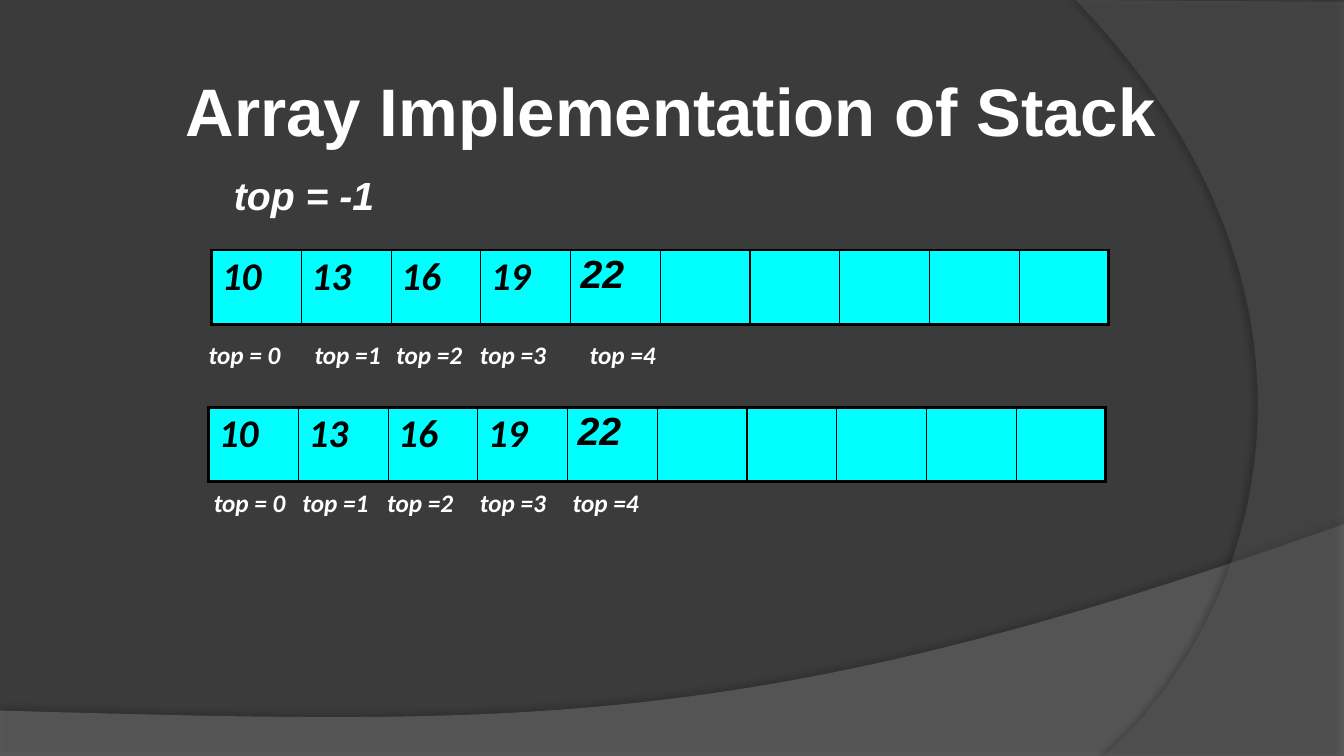
import pptx
import pptx.util
import pptx.dml.color
import pptx.enum.text
import pptx.oxml
import pptx.oxml.ns

COLOURS = {
    "background": "3B3B3B",
    "wave": "7F7F7F",
    "arc": "5E5E5E",
    "cell": "00FFFF",
    "ink": "000000",
    "light": "FFFFFF",
}
THIN, THICK = 1, 2.25


def bezier(start, first, second, end, steps=60):
    for step in range(steps + 1):
        t = step / steps
        weights = ((1 - t) ** 3, 3 * t * (1 - t) ** 2, 3 * t * t * (1 - t), t ** 3)
        yield tuple(
            sum(weight * value for weight, value in zip(weights, axis))
            for axis in zip(start, first, second, end)
        )


def apply(target, **values):
    for attribute, value in values.items():
        setattr(target, attribute, value)


def xml(tag, body, attributes=""):
    namespace = pptx.oxml.ns.nsdecls("a")
    return pptx.oxml.parse_xml(f"<a:{tag} {namespace} {attributes}>{body}</a:{tag}>")


def tint(name, alpha=100):
    return f'<a:srgbClr val="{COLOURS[name]}"><a:alpha val="{alpha * 1000}"/></a:srgbClr>'


class StackSlide:
    def __init__(self):
        self.deck = pptx.Presentation()
        apply(self.deck, slide_width=pptx.util.Inches(13.33), slide_height=pptx.util.Inches(7.5))
        self.slide = self.deck.slides.add_slide(self.deck.slide_layouts[5])
        self.fill(self.slide.background, "background")

    def x(self, share):
        return round(self.deck.slide_width * share / 100)

    def y(self, share):
        return round(self.deck.slide_height * share / 100)

    def box(self, left, top, width, height):
        return self.x(left), self.y(top), self.x(width), self.y(height)

    def colour(self, name):
        return pptx.dml.color.RGBColor.from_string(COLOURS[name])

    def fill(self, target, name):
        target.fill.solid()
        target.fill.fore_color.rgb = self.colour(name)

    def put_text(self, frame, words, colour, before=1, **font):
        paragraph = frame.paragraphs[0]
        apply(paragraph, alignment=pptx.enum.text.PP_ALIGN.LEFT, space_before=pptx.util.Pt(before))
        run = paragraph.add_run()
        run.text = words
        apply(run.font, **font)
        run.font.color.rgb = self.colour(colour)

    def frame(self, shape):
        apply(
            shape.text_frame,
            word_wrap=True,
            margin_left=pptx.util.Inches(0.01),
            margin_top=pptx.util.Inches(0.01),
            margin_right=0,
            margin_bottom=0,
            auto_size=pptx.enum.text.MSO_AUTO_SIZE.NONE,
        )
        return shape.text_frame

    def title(self, words, *place):
        heading = self.slide.shapes.title
        apply(heading, **dict(zip(("left", "top", "width", "height"), self.box(*place))))
        frame = self.frame(heading)
        frame.vertical_anchor = pptx.enum.text.MSO_ANCHOR.MIDDLE
        self.put_text(frame, words, "light", size=pptx.util.Pt(48), name="Arial", bold=True)
        heading._element.getparent().append(heading._element)

    def label(self, words, size, font, *place):
        frame = self.frame(self.slide.shapes.add_textbox(*self.box(*place)))
        self.put_text(
            frame, words, "light", size=pptx.util.Pt(size), name=font, bold=True, italic=True
        )

    def swoosh(self, points, colour, alpha, shade, distance, angle):
        corners = [(self.x(across), self.y(down)) for across, down in points]
        builder = self.slide.shapes.build_freeform(*corners[0])
        builder.add_line_segments(corners[1:], close=True)
        shape = builder.convert_to_shape()
        self.fill(shape, colour)
        shape.line.fill.background()
        paint = shape._element.spPr.find(".//" + pptx.oxml.ns.qn("a:srgbClr"))
        paint.append(xml("alpha", "", f'val="{alpha * 1000}"'))
        shadow = (
            f'<a:outerShdw blurRad="{pptx.util.Pt(4)}" dist="{pptx.util.Pt(distance)}" '
            f'dir="{angle * 60000}" algn="ctr" rotWithShape="0">{tint("ink", shade)}</a:outerShdw>'
        )
        shape._element.spPr.append(xml("effectLst", shadow))

    def border(self, cell, **widths):
        properties = cell._tc.get_or_add_tcPr()
        for position, (side, width) in enumerate(widths.items()):
            paint = f'<a:solidFill>{tint("ink")}</a:solidFill>'
            properties.insert(position, xml("ln" + side, paint, f'w="{pptx.util.Pt(width)}"'))

    def array(self, values, slots, *place):
        table = self.slide.shapes.add_table(1, slots, *self.box(*place)).table
        apply(table, first_row=False, horz_banding=False)
        for slot, cell in enumerate(table.rows[0].cells):
            self.fill(cell, "cell")
            self.border(
                cell,
                L=THICK if slot == 0 else THIN,
                R=THICK if slot == slots - 1 else THIN,
                T=THICK,
                B=THICK,
            )
            apply(
                cell,
                margin_left=pptx.util.Inches(0.1),
                margin_top=pptx.util.Inches(0.03),
                margin_right=0,
                margin_bottom=0,
            )
            if slot < len(values):
                newest = slot == len(values) - 1
                self.put_text(
                    cell.text_frame,
                    values[slot],
                    "ink",
                    before=2.9 if newest else 1.8,
                    size=pptx.util.Pt(28),
                    name="Arial" if newest else "Calibri",
                    bold=True,
                    italic=True,
                )


stack = StackSlide()
wave_edge = bezier((100, 69.33), (55.88, 97.2), (39.08, 95.87), (0, 94))
arc_edge = bezier((82.13, 100), (93.45, 82.53), (101.78, 40), (80.03, 0))
stack.swoosh([(0, 100), (100, 100), *wave_edge], "wave", 45, 35, 3.5, 270)
stack.swoosh([(100, 0.27), (100, 100), *arc_edge], "arc", 40, 45, 4, 180)

stack.title("Array Implementation of Stack", 13.73, 8.93, 72.53, 10.93)
stack.label("top = -1", 28, "Arial", 17.33, 22.53, 12, 6.53)

values = ("10", "13", "16", "19", "22")
tops = ("top = 0", "top =1", "top =2", "top =3", "top =4")
arrays = (
    (15.75, 33.07, 44.8, (15.45, 23.33, 29.4, 35.63, 43.8)),
    (15.53, 53.87, 64.27, (15.83, 22.43, 28.73, 35.63, 42.53)),
)
for array_left, array_top, tops_row, tops_columns in arrays:
    stack.array(values, 10, array_left, array_top, 66.75, 9.87)
    for words, column in zip(tops, tops_columns):
        stack.label(words, 18, "Calibri", column, tops_row, 6.5, 4.27)

stack.deck.save("out.pptx")
